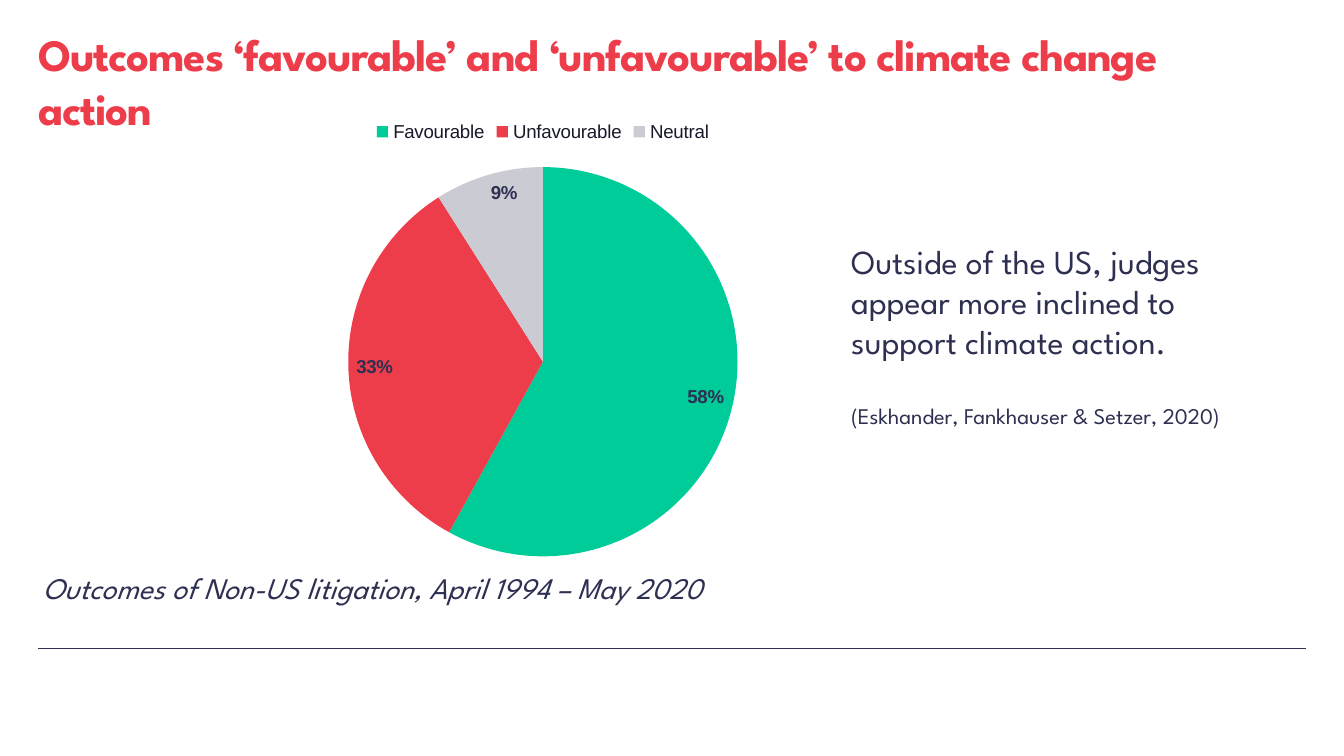
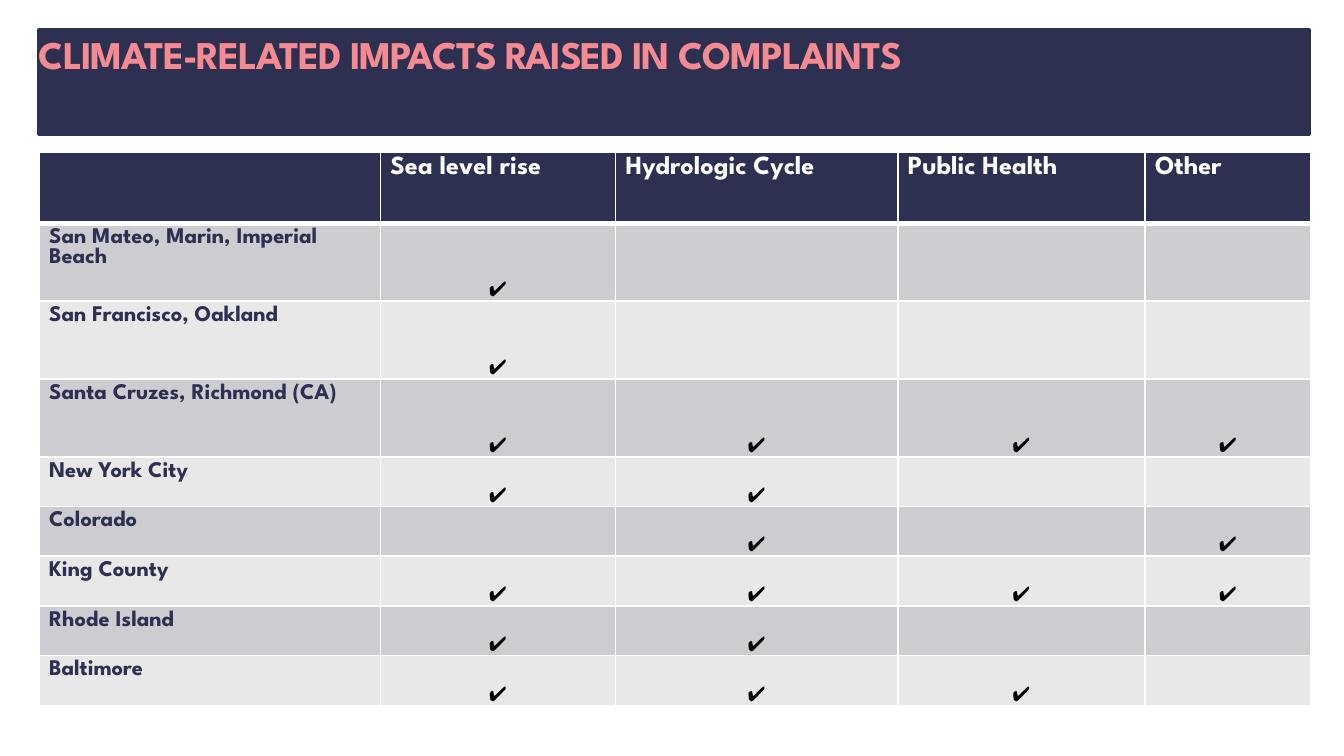
import dataclasses
import typing

import lxml.etree
import pptx
import pptx.chart.data
import pptx.dml.color
import pptx.enum.chart
import pptx.enum.shapes
import pptx.enum.text
import pptx.oxml
import pptx.oxml.ns
import pptx.util

PX = 4572
SLIDE_SIZE = (2000, 1125)
NAVY, RED, PINK, WHITE, BLACK = "2E3052", "ED3D4A", "F48B92", "FFFFFF", "000000"
GREEN, GREY, INK = "00CC99", "CBCBD4", "171829"
STRIPES = ("CDCDD1", "E8E8E9")
SPARTAN, ARIAL = "League Spartan", "Arial"
TICK = "✔"


class Box(typing.NamedTuple):
    left: int
    top: int
    width: int
    height: int

    def emu(self) -> list[int]:
        return [side * PX for side in self]


@dataclasses.dataclass(frozen=True)
class Style:
    size: int
    color: str = NAVY
    font: str = SPARTAN
    bold: bool = False
    italic: bool = False
    tracking: int = 0


@dataclasses.dataclass(frozen=True)
class Line:
    text: str
    style: Style
    space_before: int = 0


class Outcome(typing.NamedTuple):
    name: str
    share: int
    color: str


class Complaint(typing.NamedTuple):
    plaintiff: str
    height: int
    impacts: str


TITLE = Style(24, RED, bold=True, tracking=-60)
BAND_TITLE = Style(21, PINK, bold=True, tracking=-60)
HEADING = Style(14, WHITE, bold=True)
PLAINTIFF = Style(12, bold=True)
MARK = Style(11, BLACK, ARIAL)
LEGEND = Style(10, INK, ARIAL)
SHARE = Style(10, NAVY, ARIAL, bold=True)

OUTCOMES = [
    Outcome("Favourable", 58, GREEN),
    Outcome("Unfavourable", 33, RED),
    Outcome("Neutral", 9, GREY),
]
PIE_LAYOUT = {"x": 0.29, "y": 0.13, "w": 0.42, "h": 0.83}

IMPACTS = ["", "Sea level rise", "Hydrologic Cycle", "Public Health", "Other"]
COLUMN_WIDTHS = [508, 350, 420, 368, 246]
HEADER_HEIGHT, TALL, SHORT = 106, 116, 74
COMPLAINTS = [
    Complaint("San Mateo, Marin, Imperial Beach", TALL, "S"),
    Complaint("San Francisco, Oakland", TALL, "S"),
    Complaint("Santa Cruzes, Richmond (CA)", TALL, "SHPO"),
    Complaint("New York City", SHORT, "SH"),
    Complaint("Colorado", SHORT, "HO"),
    Complaint("King County", SHORT, "SHPO"),
    Complaint("Rhode Island", SHORT, "SH"),
    Complaint("Baltimore", SHORT, "SHP"),
]


def rgb(value: str) -> pptx.dml.color.RGBColor:
    return pptx.dml.color.RGBColor.from_string(value)


def apply_font(font, style: Style) -> None:
    font.size = pptx.util.Pt(style.size)
    font.name = style.font
    font.bold = style.bold
    font.italic = style.italic
    font.color.rgb = rgb(style.color)


def set_margins(holder, left: int, top: int, right: int, bottom: int) -> None:
    holder.margin_left, holder.margin_top = left * PX, top * PX
    holder.margin_right, holder.margin_bottom = right * PX, bottom * PX


def write_lines(frame, lines: list[Line]) -> None:
    frame.word_wrap = True
    frame.text = "\n".join(line.text for line in lines)
    for paragraph, line in zip(frame.paragraphs, lines):
        paragraph.line_spacing = 1.0
        if line.space_before:
            paragraph.space_before = pptx.util.Pt(line.space_before)
        for run in paragraph.runs:
            apply_font(run.font, line.style)
            if line.style.tracking:
                run.font._element.set("spc", str(line.style.tracking))


def add_text(slide, box: Box, lines: list[Line], inset: bool = True) -> None:
    frame = slide.shapes.add_textbox(*box.emu()).text_frame
    if not inset:
        set_margins(frame, 0, 0, 0, 0)
    write_lines(frame, lines)


def add_base_slide(deck):
    slide = deck.slides.add_slide(deck.slide_layouts[6])
    rule = slide.shapes.add_connector(
        pptx.enum.shapes.MSO_CONNECTOR.STRAIGHT, 57 * PX, 965 * PX, 1944 * PX, 965 * PX
    )
    rule.line.color.rgb = rgb(NAVY)
    rule.line.width = pptx.util.Pt(0.5)
    properties = rule._element.spPr
    lxml.etree.SubElement(properties, pptx.oxml.ns.qn("a:effectLst"))
    return slide


def add_title_band(slide, box: Box, text: str) -> None:
    band = slide.shapes.add_shape(pptx.enum.shapes.MSO_SHAPE.RECTANGLE, *box.emu())
    band.shadow.inherit = False
    band.fill.solid()
    band.fill.fore_color.rgb = rgb(NAVY)
    band.line.color.rgb = rgb(NAVY)
    band.line.width = pptx.util.Pt(2)
    set_margins(band.text_frame, 0, 0, 0, 0)
    band.text_frame.vertical_anchor = pptx.enum.text.MSO_ANCHOR.TOP
    write_lines(band.text_frame, [Line(text, BAND_TITLE)])
    band.text_frame.paragraphs[0].alignment = pptx.enum.text.PP_ALIGN.LEFT


def fix_plot_layout(chart, layout: dict[str, float]) -> None:
    area = chart._chartSpace.chart.plotArea
    for previous in area.findall(pptx.oxml.ns.qn("c:layout")):
        area.remove(previous)
    sides = "".join(f'<c:{side} val="{value}"/>' for side, value in layout.items())
    area.insert(0, pptx.oxml.parse_xml(
        f'<c:layout {pptx.oxml.ns.nsdecls("c")}><c:manualLayout>'
        '<c:layoutTarget val="inner"/><c:xMode val="edge"/><c:yMode val="edge"/>'
        f"{sides}</c:manualLayout></c:layout>"
    ))


def add_outcome_pie(slide, box: Box, outcomes: list[Outcome]) -> None:
    data = pptx.chart.data.CategoryChartData()
    data.categories = [outcome.name for outcome in outcomes]
    data.add_series("Series 1", [outcome.share for outcome in outcomes])
    chart = slide.shapes.add_chart(
        pptx.enum.chart.XL_CHART_TYPE.PIE, *box.emu(), data
    ).chart
    chart.has_title = False
    apply_font(chart.font, LEGEND)
    chart.has_legend = True
    chart.legend.position = pptx.enum.chart.XL_LEGEND_POSITION.TOP
    chart.legend.include_in_layout = False
    apply_font(chart.legend.font, LEGEND)
    fix_plot_layout(chart, PIE_LAYOUT)

    plot = chart.plots[0]
    plot.vary_by_categories = True
    for index, outcome in enumerate(outcomes):
        fill = plot.series[0].points[index].format.fill
        fill.solid()
        fill.fore_color.rgb = rgb(outcome.color)
    shares = plot.series[0].data_labels
    shares.show_percentage = True
    shares.show_value = False
    shares.number_format = "0%"
    shares.number_format_is_linked = False
    shares.position = pptx.enum.chart.XL_LABEL_POSITION.INSIDE_END
    apply_font(shares.font, SHARE)


def style_cell(cell, fill: str, bottom_points: int) -> None:
    cell.fill.solid()
    cell.fill.fore_color.rgb = rgb(fill)
    properties = cell._tc.get_or_add_tcPr()
    for index, side in enumerate("LRTB"):
        width = pptx.util.Pt(bottom_points if side == "B" else 1)
        properties.insert(index, pptx.oxml.parse_xml(
            f'<a:ln{side} {pptx.oxml.ns.nsdecls("a")} w="{width}"><a:solidFill>'
            f'<a:srgbClr val="{WHITE}"/></a:solidFill></a:ln{side}>'
        ))


def fill_label(cell, text: str, style: Style) -> None:
    set_margins(cell, 15, 7, 15, 7)
    write_lines(cell.text_frame, [Line(text, style)])


def fill_mark(cell, marked: bool) -> None:
    set_margins(cell, 2, 2, 2, 0)
    if marked:
        cell.vertical_anchor = pptx.enum.text.MSO_ANCHOR.BOTTOM
        write_lines(cell.text_frame, [Line(TICK, MARK)])
        cell.text_frame.paragraphs[0].alignment = pptx.enum.text.PP_ALIGN.CENTER


def add_impact_table(slide, left: int, top: int) -> None:
    heights = [HEADER_HEIGHT] + [complaint.height for complaint in COMPLAINTS]
    box = Box(left, top, sum(COLUMN_WIDTHS), sum(heights))
    table = slide.shapes.add_table(len(heights), len(IMPACTS), *box.emu()).table
    table.horz_banding = False
    for column, width in zip(table.columns, COLUMN_WIDTHS):
        column.width = width * PX
    for row, height in zip(table.rows, heights):
        row.height = height * PX

    for column, impact in enumerate(IMPACTS):
        heading = table.cell(0, column)
        fill_label(heading, impact, HEADING)
        style_cell(heading, NAVY, 3)
        for row, complaint in enumerate(COMPLAINTS, 1):
            cell = table.cell(row, column)
            if column == 0:
                fill_label(cell, complaint.plaintiff, PLAINTIFF)
            else:
                fill_mark(cell, impact[0] in complaint.impacts)
            style_cell(cell, STRIPES[(row - 1) % 2], 1)


def build_outcomes_slide(deck) -> None:
    slide = add_base_slide(deck)
    title = "Outcomes ‘favourable’ and ‘unfavourable’ to climate change action"
    add_text(slide, Box(57, 40, 1800, 82), [Line(title, TITLE)], inset=False)
    add_outcome_pie(slide, Box(100, 158, 1416, 698), OUTCOMES)
    finding = "Outside of the US, judges appear more inclined to support climate action."
    add_text(slide, Box(1247, 348, 672, 376), [
        Line(finding, Style(18)),
        Line("(Eskhander, Fankhauser & Setzer, 2020)", Style(12), space_before=22),
    ])
    caption = "Outcomes of Non-US litigation, April 1994 – May 2020"
    add_text(slide, Box(44, 838, 1226, 74), [Line(caption, Style(16, italic=True))])


def build_impacts_slide(deck) -> None:
    slide = add_base_slide(deck)
    add_title_band(
        slide, Box(58, 45, 1890, 154), "CLIMATE-RELATED IMPACTS RAISED IN COMPLAINTS"
    )
    add_impact_table(slide, 58, 226)


def main() -> None:
    deck = pptx.Presentation()
    deck.slide_width, deck.slide_height = (side * PX for side in SLIDE_SIZE)
    build_outcomes_slide(deck)
    build_impacts_slide(deck)
    deck.save("out.pptx")


if __name__ == "__main__":
    main()
